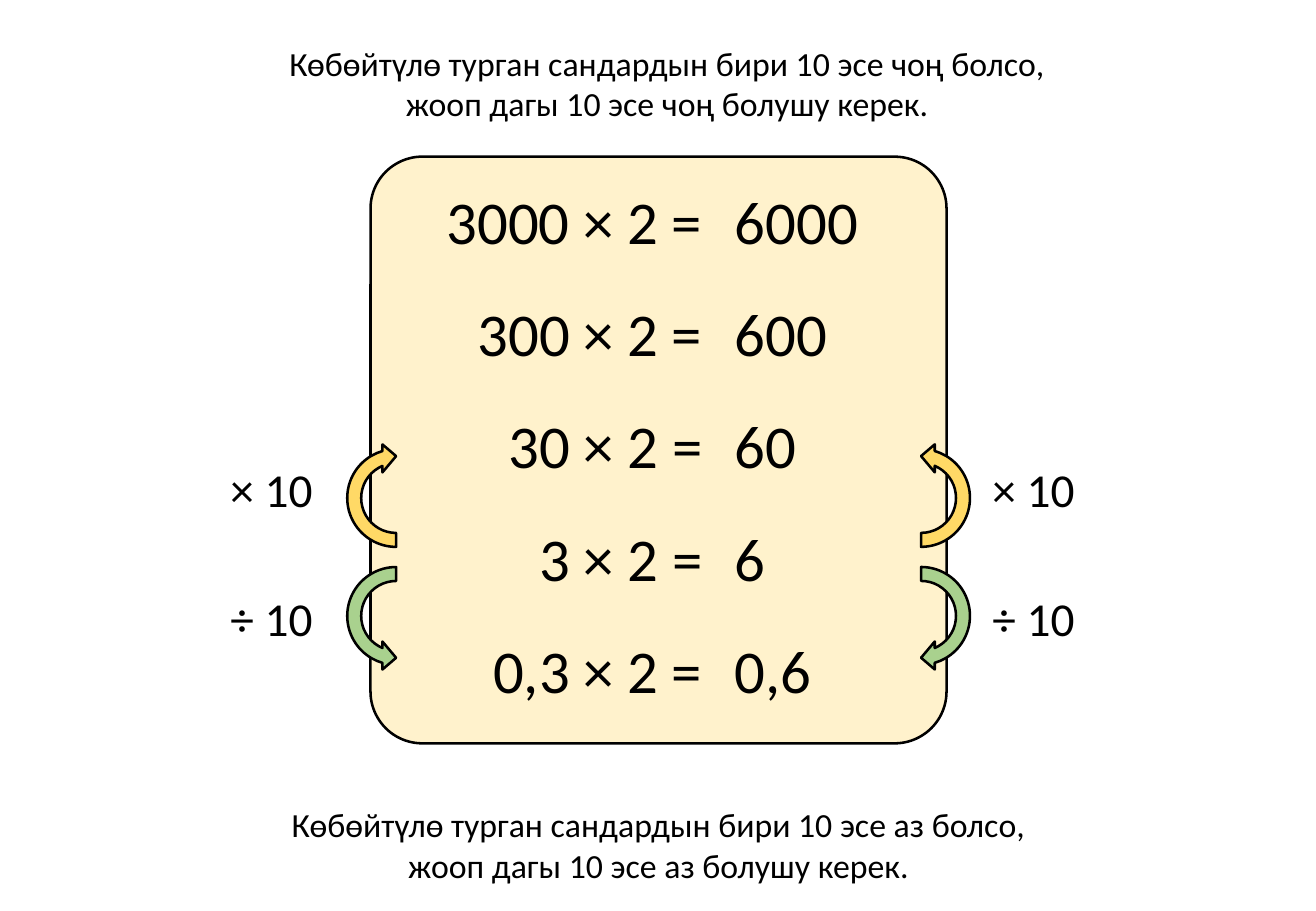
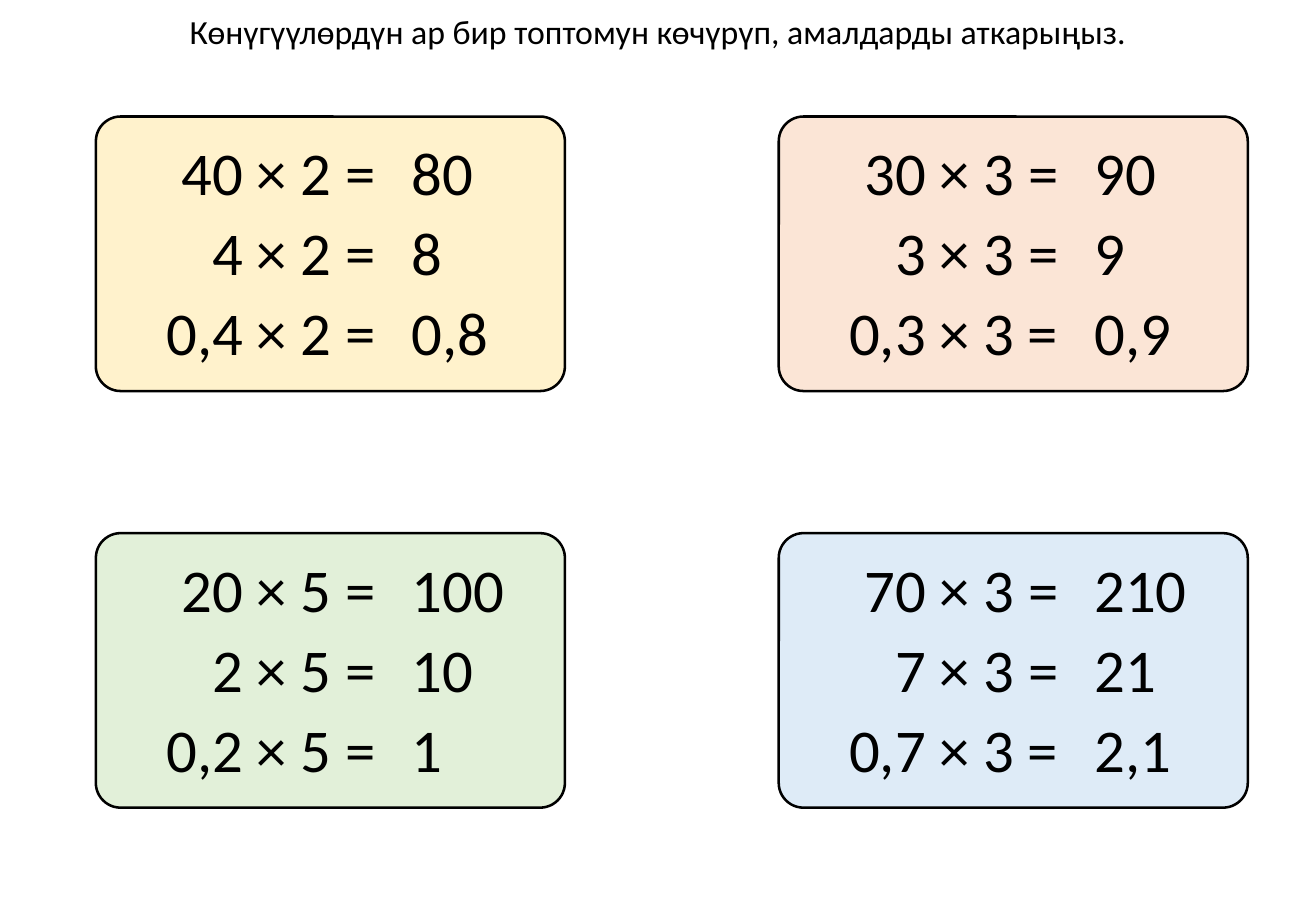
from dataclasses import dataclass

from pptx import Presentation
from pptx import util as u
from pptx.dml import color
from pptx.enum import shapes, text


@dataclass(frozen=True)
class Theme:
    font: str = "Calibri"
    ink: str = "000000"
    cream: str = "FFF2CC"
    peach: str = "FBE5D6"
    mint: str = "E2F0D9"
    sky: str = "DEEBF7"
    yellow: str = "FFD966"
    green: str = "A9D18E"
    line: float = 1.5
    corner: float = 0.09
    caption: int = 20
    label: int = 28
    sum: int = 36


THEME = Theme()
ALIGN = text.PP_ALIGN


@dataclass(frozen=True)
class Box:
    """A box in inches; areas inside it are given in percent of it."""
    left: float
    top: float
    width: float
    height: float

    def area(self, left, top, width, height):
        return Box(self.left + self.width * left / 100,
                   self.top + self.height * top / 100,
                   self.width * width / 100, self.height * height / 100)

    def lengths(self):
        return [u.Inches(n) for n in (self.left, self.top, self.width, self.height)]


@dataclass(frozen=True)
class SumGrid:
    """Rows and columns of sums, in percent of their panel."""
    first: float
    pitch: float
    height: float
    equals: float
    answer: float


PAGE = Box(0, 0, 10.83, 7.5)
LADDER_GRID = SumGrid(3.52, 19.15, 14.7, 59.7, 61.18)
EXERCISE_GRID = SumGrid(4.5, 29.2, 31.42, 62.18, 64.77)


# Shared elements
def set_values(target, values):
    for name, value in values.items():
        setattr(target, name, value)


def write(shape, lines, size, align, wrap=False):
    frame = shape.text_frame
    set_values(frame, {"text": "\n".join(lines), "word_wrap": wrap,
                       "auto_size": text.MSO_AUTO_SIZE.NONE,
                       "vertical_anchor": text.MSO_ANCHOR.TOP})
    for paragraph in frame.paragraphs:
        paragraph.alignment = align
        set_values(paragraph.font, {"name": THEME.font, "size": u.Pt(size)})
        paragraph.font.color.rgb = color.RGBColor.from_string(THEME.ink)


def add_text(slide, box, lines, size, align=ALIGN.LEFT, wrap=False):
    write(slide.shapes.add_textbox(*box.lengths()), lines, size, align, wrap)


def add_outlined(slide, kind, box, fill):
    shape = slide.shapes.add_shape(kind, *box.lengths())
    shape.shadow.inherit = False
    shape.fill.solid()
    shape.fill.fore_color.rgb = color.RGBColor.from_string(fill)
    shape.line.color.rgb = color.RGBColor.from_string(THEME.ink)
    shape.line.width = u.Pt(THEME.line)
    return shape


def add_titled_slide(presentation, box, lines):
    slide = presentation.slides.add_slide(presentation.slide_layouts[5])
    title = slide.shapes.title
    set_values(title, dict(zip(("left", "top", "width", "height"), box.lengths())))
    write(title, lines, THEME.caption, ALIGN.CENTER)
    return slide


def add_sum_panel(slide, box, fill, grid, multiplier, sums):
    panel = add_outlined(slide, shapes.MSO_SHAPE.ROUNDED_RECTANGLE, box, fill)
    panel.adjustments[0] = THEME.corner
    for row, (factor, product) in enumerate(sums):
        top = grid.first + row * grid.pitch
        add_text(slide, box.area(0, top, grid.equals, grid.height),
                 [f"{factor} × {multiplier} ="], THEME.sum, ALIGN.RIGHT, True)
        add_text(slide, box.area(grid.answer, top, 100 - grid.answer, grid.height),
                 [product], THEME.sum, wrap=True)


# Curved arrows with their labels, on both sides of the panel
def add_steps(slide, panel):
    sides = {"left": (-5.27, -26.79), "right": (85.86, 105.49)}
    steps = [("× 10", THEME.yellow, 270, 48.65, 50.72, "right"),
             ("÷ 10", THEME.green, 90, 68.74, 72.67, "left")]
    for label, fill, rotation, arrow_top, label_top, flipped in steps:
        for side, (arrow_left, label_left) in sides.items():
            arrow = add_outlined(slide, shapes.MSO_SHAPE.CIRCULAR_ARROW,
                                 panel.area(arrow_left, arrow_top, 19.41, 19.05), fill)
            arrow.rotation = rotation
            if side == flipped:
                arrow.element.spPr.xfrm.set("flipV", "1")
            add_text(slide, panel.area(label_left, label_top, 18.78, 11.8),
                     [label], THEME.label, ALIGN.RIGHT)


# Slide types
def add_ladder_slide(presentation):
    slide = add_titled_slide(presentation, PAGE.area(20.5, 4, 60.4, 10.27),
                             ["Көбөйтүлө турган сандардын бири 10 эсе чоң болсо,",
                              "жооп дагы 10 эсе чоң болушу керек."])
    panel = PAGE.area(28.16, 17.2, 43.77, 64.4)
    add_sum_panel(slide, panel, THEME.cream, LADDER_GRID, 2,
                  [("3000", "6000"), ("300", "600"), ("30", "60"),
                   ("3", "6"), ("0,3", "0,6")])
    add_steps(slide, panel)
    add_text(slide, PAGE.area(20.95, 87.6, 58.2, 10.27),
             ["Көбөйтүлө турган сандардын бири 10 эсе аз болсо,",
              "жооп дагы 10 эсе аз болушу керек."], THEME.caption, ALIGN.CENTER)


def add_exercise_slide(presentation):
    slide = add_titled_slide(
        presentation, PAGE.area(13.11, 0.53, 73.78, 5.87),
        ["Көнүгүүлөрдүн ар бир топтомун көчүрүп, амалдарды аткарыңыз."])
    exercises = [
        (THEME.cream, 2, [("40", "80"), ("4", "8"), ("0,4", "0,8")]),
        (THEME.peach, 3, [("30", "90"), ("3", "9"), ("0,3", "0,9")]),
        (THEME.mint, 5, [("20", "100"), ("2", "10"), ("0,2", "1")]),
        (THEME.sky, 3, [("70", "210"), ("7", "21"), ("0,7", "2,1")]),
    ]
    for index, (fill, multiplier, sums) in enumerate(exercises):
        row, column = divmod(index, 2)
        box = PAGE.area(7.29 + column * 51.89, 12.8 + row * 45.73, 35.64, 30.13)
        add_sum_panel(slide, box, fill, EXERCISE_GRID, multiplier, sums)


def main():
    presentation = Presentation()
    presentation.slide_width = u.Inches(PAGE.width)
    presentation.slide_height = u.Inches(PAGE.height)
    add_ladder_slide(presentation)
    add_exercise_slide(presentation)
    presentation.save("out.pptx")


if __name__ == "__main__":
    main()
